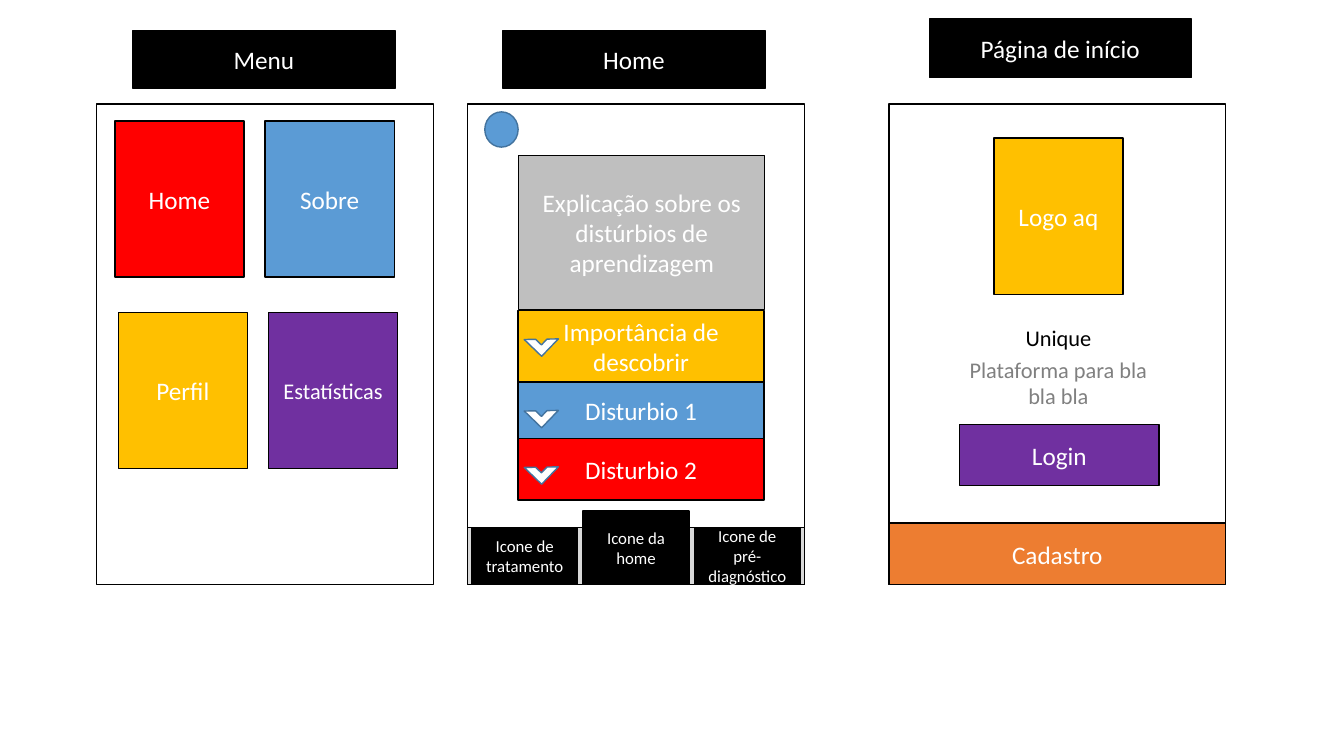
from dataclasses import dataclass

from pptx import Presentation
from pptx.dml.color import RGBColor
from pptx.enum.shapes import MSO_SHAPE
from pptx.enum.text import MSO_ANCHOR, PP_ALIGN
from pptx.util import Pt


@dataclass(frozen=True)
class Theme:
    """Colours, font and type sizes of the wireframes."""
    black: str = "000000"
    white: str = "FFFFFF"
    red: str = "FF0000"
    blue: str = "5B9BD5"
    gold: str = "FFC000"
    purple: str = "7030A0"
    orange: str = "ED7D31"
    silver: str = "BFBFBF"
    pale: str = "D9D9D9"
    gray: str = "808080"
    edge: str = "43739E"
    font: str = "Calibri"
    large: int = 18
    medium: int = 16
    small: int = 12


THEME = Theme()
TOP, WIDE, HIGH = 74.2, 240.5, 343.4
BASE = TOP + HIGH
TILE = (92.2, 111.6)


def write(shape, words, size=THEME.large, color=THEME.white):
    """Put centred, wrapped text in a shape."""
    frame = shape.text_frame
    frame.word_wrap = True
    frame.vertical_anchor = MSO_ANCHOR.MIDDLE
    par = frame.paragraphs[0]
    par.alignment = PP_ALIGN.CENTER
    run = par.add_run()
    run.text = words
    run.font.name = THEME.font
    run.font.size = Pt(size)
    run.font.color.rgb = RGBColor.from_string(color)


def draw(slide, kind, area, fill, edge=THEME.black):
    """Draw a filled, outlined preset shape."""
    shape = slide.shapes.add_shape(kind, *map(Pt, area))
    shape.shadow.inherit = False
    shape.fill.solid()
    shape.fill.fore_color.rgb = RGBColor.from_string(fill)
    shape.line.color.rgb = RGBColor.from_string(edge)
    shape.line.width = Pt(1)
    return shape


def box(slide, area, fill, words="", **form):
    """Draw a rectangle, with a label if there is one."""
    shape = draw(slide, MSO_SHAPE.RECTANGLE, area, fill)
    if words:
        write(shape, words, **form)


def label(slide, area, words, **form):
    """Add text without a box."""
    write(slide.shapes.add_textbox(*map(Pt, area)), words, **form)


def arrow(slide, left, top):
    """Draw a chevron that points down."""
    area = (left, top, 17.3, 17.3)
    shape = draw(slide, MSO_SHAPE.HALF_FRAME, area, THEME.white, THEME.edge)
    shape.rotation = 224


def screen(slide, left, name, head, top):
    """Draw an empty screen with its name above."""
    box(slide, (left, TOP, WIDE, HIGH), THEME.white)
    box(slide, (head, top, 187.2, 41.8), THEME.black, name)


def menu(slide):
    """Draw the menu screen with its four tiles."""
    screen(slide, 69.1, "Menu", 95, 21.6)
    rows = [
        (82.1, 86.4, [("Home", THEME.red, THEME.large),
                      ("Sobre", THEME.blue, THEME.large)]),
        (84.5, 223.2, [("Perfil", THEME.gold, THEME.large),
                       ("Estatísticas", THEME.purple, THEME.medium)]),
    ]
    for left, top, tiles in rows:
        for col, (name, fill, size) in enumerate(tiles):
            area = (left + col * 107.3, top, *TILE)
            box(slide, area, fill, name, size=size)


def home(slide):
    """Draw the home screen: text, topics and icon bar."""
    left = 334.1
    screen(slide, left, "Home", 359.3, 21.6)
    draw(slide, MSO_SHAPE.OVAL, (346.3, 79.9, 23.8, 25.2),
         THEME.blue, THEME.edge)
    box(slide, (370.6, 110.9, 175.7, 110.2), THEME.silver,
        "Explicação sobre os distúrbios de aprendizagem")
    top = 221.8
    topics = [("Importância de descobrir", THEME.gold, 51.1),
              ("Disturbio 1", THEME.blue, 40.3),
              ("Disturbio 2", THEME.red, 43.9)]
    for name, fill, high in topics:
        box(slide, (370.1, top, 175.7, high), fill, name)
        arrow(slide, 378, top + 11.8)
        top += high
    box(slide, (left, BASE - 41, WIDE, 41), THEME.pale)
    icons = [("Icone de tratamento", 41), ("Icone da home", 52.6),
             ("Icone de pré-diagnóstico", 41)]
    for col, (name, high) in enumerate(icons):
        area = (left + 2.9 + col * 79.5, BASE - high, 75.6, high)
        box(slide, area, THEME.black, name, size=THEME.small)


def start(slide):
    """Draw the start screen with login and sign-up."""
    left = 635
    screen(slide, left, "Página de início", 663.8, 13.7)
    box(slide, (709.9, 98.6, *TILE), THEME.gold, "Logo aq")
    label(slide, (709.9, 219.6, 92.2, 42.5), "Unique",
          size=THEME.medium, color=THEME.black)
    label(slide, (683.3, 252, 145.4, 42.5), "Plataforma para bla bla bla",
          size=THEME.medium, color=THEME.gray)
    box(slide, (685.4, 303.1, 142.6, 43.9), THEME.purple, "Login")
    box(slide, (left, BASE - 43.9, WIDE, 43.9), THEME.orange, "Cadastro")


def main():
    """Build the slide and save it."""
    deck = Presentation()
    deck.slide_width, deck.slide_height = Pt(960), Pt(540)
    slide = deck.slides.add_slide(deck.slide_layouts.get_by_name("Blank"))
    menu(slide)
    home(slide)
    start(slide)
    deck.save("out.pptx")


main()
